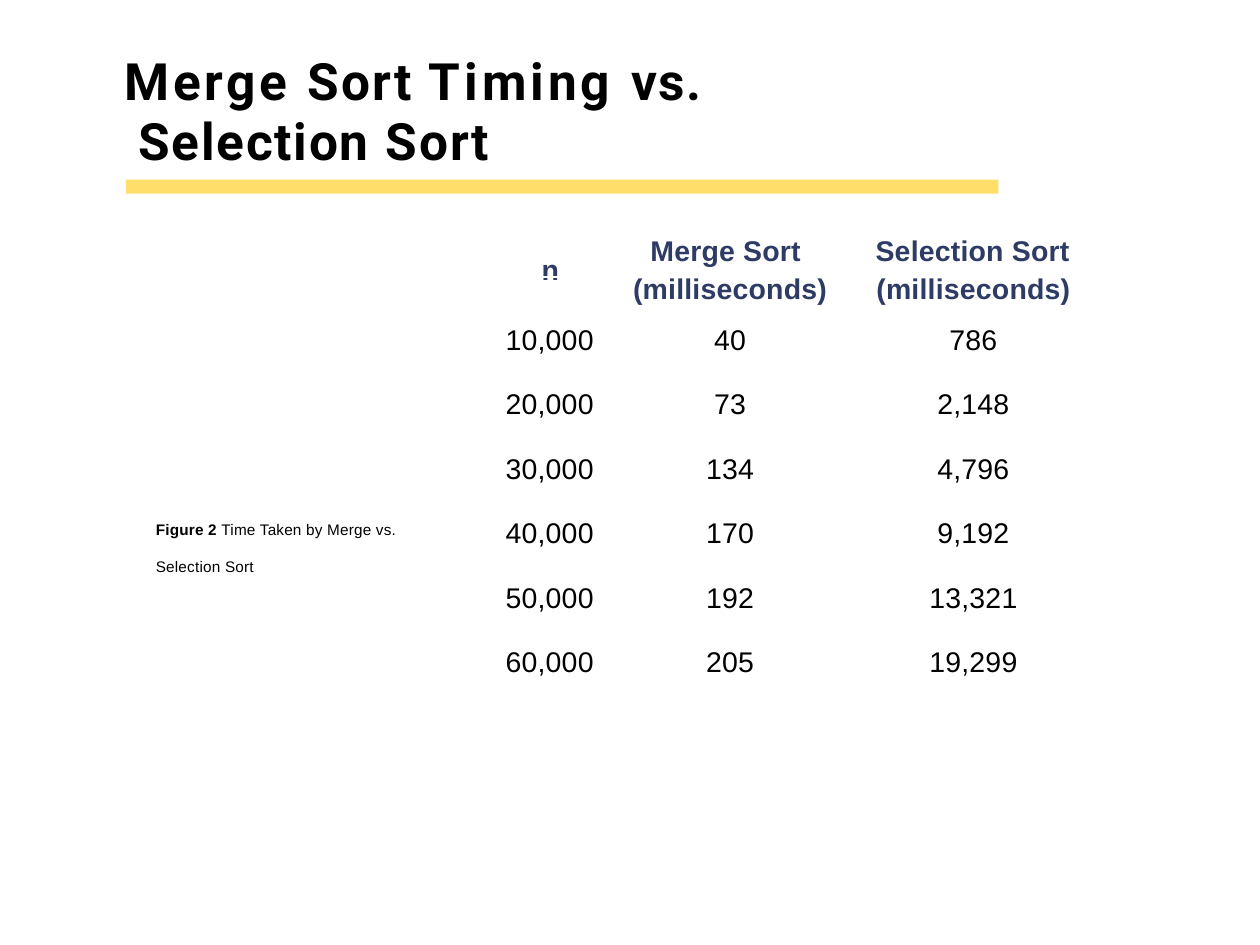
import pptx
import pptx.dml.color
import pptx.enum.shapes
import pptx.enum.text
import pptx.util

Inches, Pt = pptx.util.Inches, pptx.util.Pt
BLACK, NAVY, YELLOW = "000000", "2D3B65", "FFDF6A"


def color(hex_text):
    return pptx.dml.color.RGBColor.from_string(hex_text)


def add_run(paragraph, text, size, hex_text, bold=False, spacing=0.1, font="Arial"):
    """Add one formatted run; size and letter spacing are in points."""
    run = paragraph.add_run()
    run.text = text
    run.font.name = font
    run.font.size = Pt(size)
    run.font.bold = bold
    run.font.color.rgb = color(hex_text)
    run._r.get_or_add_rPr().set("spc", str(round(spacing * 100)))


presentation = pptx.Presentation()
presentation.slide_width, presentation.slide_height = Inches(8), Inches(6)
slide = presentation.slides.add_slide(presentation.slide_layouts[5])

# Yellow rule under the title
rule = slide.shapes.add_shape(
    pptx.enum.shapes.MSO_SHAPE.RECTANGLE, Inches(0.8), Inches(1.14), Inches(5.54), Inches(0.09))
rule.shadow.inherit = False
rule.fill.solid()
rule.fill.fore_color.rgb = color(YELLOW)
rule.line.fill.background()

# Title, with its second line slightly indented
title = slide.shapes.title
title.left, title.top, title.width, title.height = map(Inches, (0.78, 0.32, 3.69, 0.76))
frame = title.text_frame
frame.margin_left = frame.margin_top = frame.margin_right = frame.margin_bottom = 0
frame.word_wrap = True
frame.auto_size = pptx.enum.text.MSO_AUTO_SIZE.NONE
frame.vertical_anchor = pptx.enum.text.MSO_ANCHOR.TOP
paragraph = frame.paragraphs[0]
paragraph.alignment = pptx.enum.text.PP_ALIGN.LEFT
paragraph.line_spacing = Pt(27.5)
properties = paragraph._p.get_or_add_pPr()
properties.set("marL", str(Inches(0.1)))
properties.set("indent", str(Inches(-0.09)))
for text, spacing in [("Merge ", 1.7), ("Sort ", 0.9), ("Timing ", 1.8),
                      ("vs. ", 0.6), ("Selection ", 0.8), ("Sort", 0.9)]:
    add_run(paragraph, text, 23.5, BLACK, True, spacing, "Roboto")

# Figure caption and the upper line of the column headings
labels = [
    (0.98, 3.3, 1.6, 0.13, 7, BLACK, [("Figure 2 ", True), ("Time Taken by Merge vs.", False)]),
    (0.98, 3.54, 0.66, 0.13, 7, BLACK, [("Selection Sort", False)]),
    (3.43, 1.6, 0.14, 0.24, 13, NAVY, [("n", True)]),
    (4.12, 1.48, 0.98, 0.24, 13, NAVY, [("Merge Sort", True)]),
    (5.55, 1.48, 1.26, 0.24, 13, NAVY, [("Selection Sort", True)]),
]
for left, top, width, height, size, hex_text, runs in labels:
    box = slide.shapes.add_textbox(Inches(left), Inches(top), Inches(width), Inches(height))
    frame = box.text_frame
    frame.margin_top = frame.margin_right = frame.margin_bottom = 0
    frame.margin_left = Inches(0.01)
    frame.word_wrap = False
    for text, bold in runs:
        add_run(frame.paragraphs[0], text, size, hex_text, bold)

# Timing table
rows = [
    ("", "(milliseconds)", "(milliseconds)"),
    ("10,000", "40", "786"),
    ("20,000", "73", "2,148"),
    ("30,000", "134", "4,796"),
    ("40,000", "170", "9,192"),
    ("50,000", "192", "13,321"),
    ("60,000", "205", "19,299"),
]
column_widths = [0.69, 1.51, 1.43]
row_heights = [0.3] + [0.41] * 5 + [0.37]
column_indents = [0.02, 0, 0.15]
table = slide.shapes.add_table(
    len(rows), len(column_widths), Inches(3.19), Inches(1.76),
    Inches(sum(column_widths)), Inches(sum(row_heights))).table
table.first_row = table.horz_banding = False
for column, width in zip(table.columns, column_widths):
    column.width = Inches(width)
for row_index, values in enumerate(rows):
    table.rows[row_index].height = Inches(row_heights[row_index])
    is_header = row_index == 0
    for column_index, value in enumerate(values):
        cell = table.cell(row_index, column_index)
        cell.fill.background()
        cell.margin_left = cell.margin_top = cell.margin_right = cell.margin_bottom = 0
        paragraph = cell.text_frame.paragraphs[0]
        paragraph._p.get_or_add_pPr().set("marL", str(Inches(column_indents[column_index])))
        if column_index > 0:
            paragraph.alignment = pptx.enum.text.PP_ALIGN.CENTER
        if is_header:
            paragraph.line_spacing = Pt(12.8)
        else:
            paragraph.space_before = Pt(5.5)
        if value:
            add_run(paragraph, value, 13, NAVY if is_header else BLACK, is_header)

presentation.save("out.pptx")
